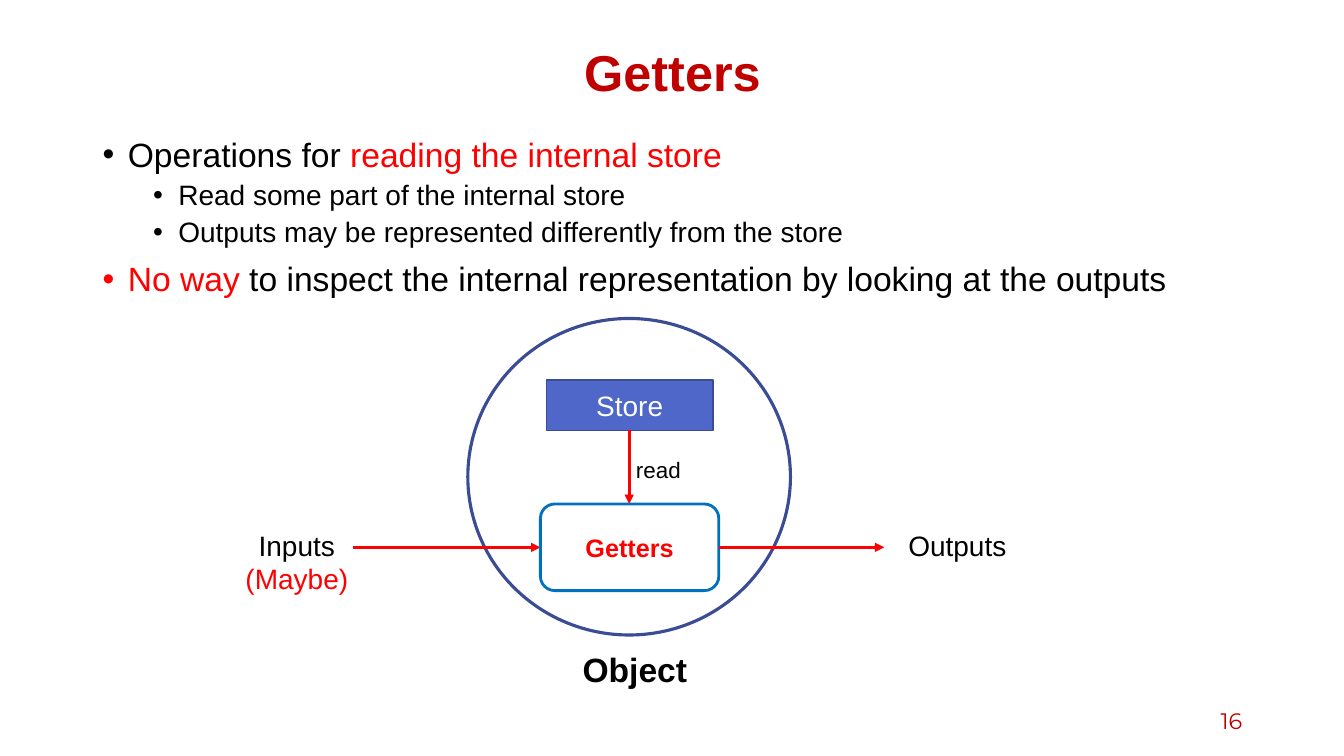
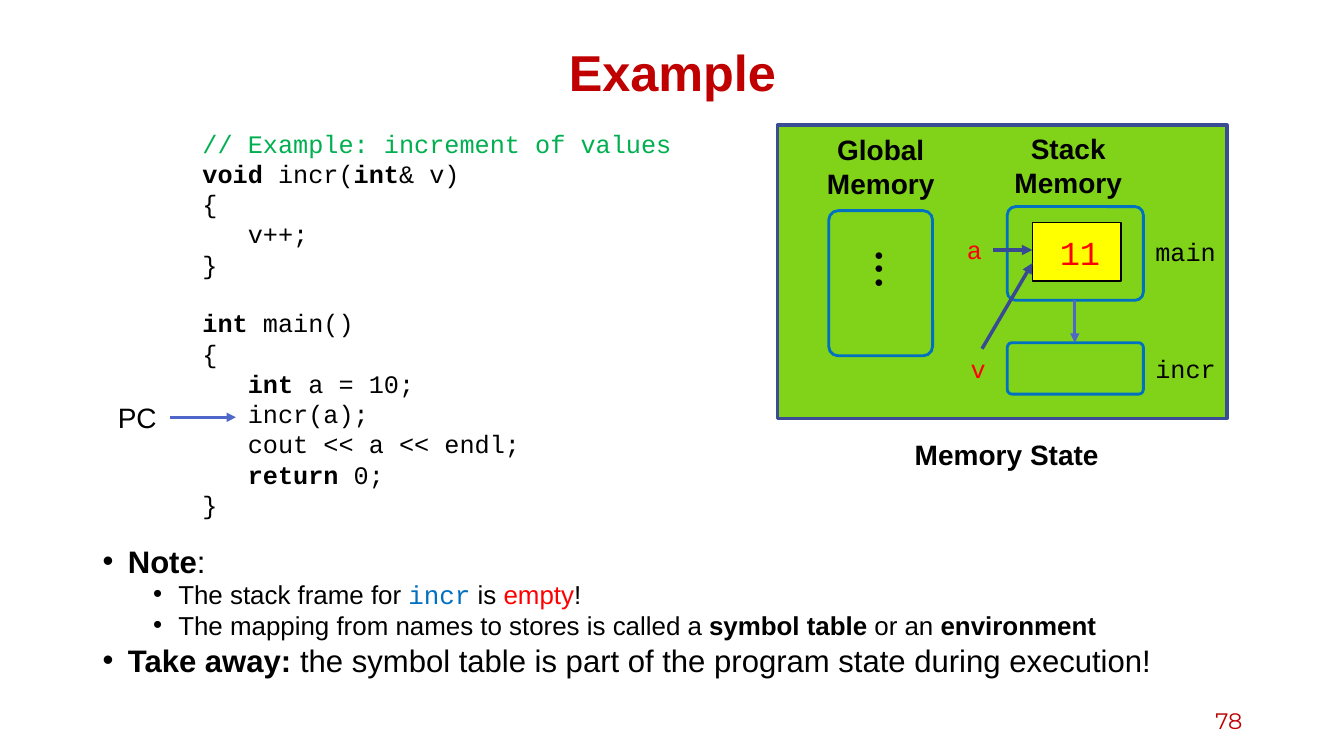
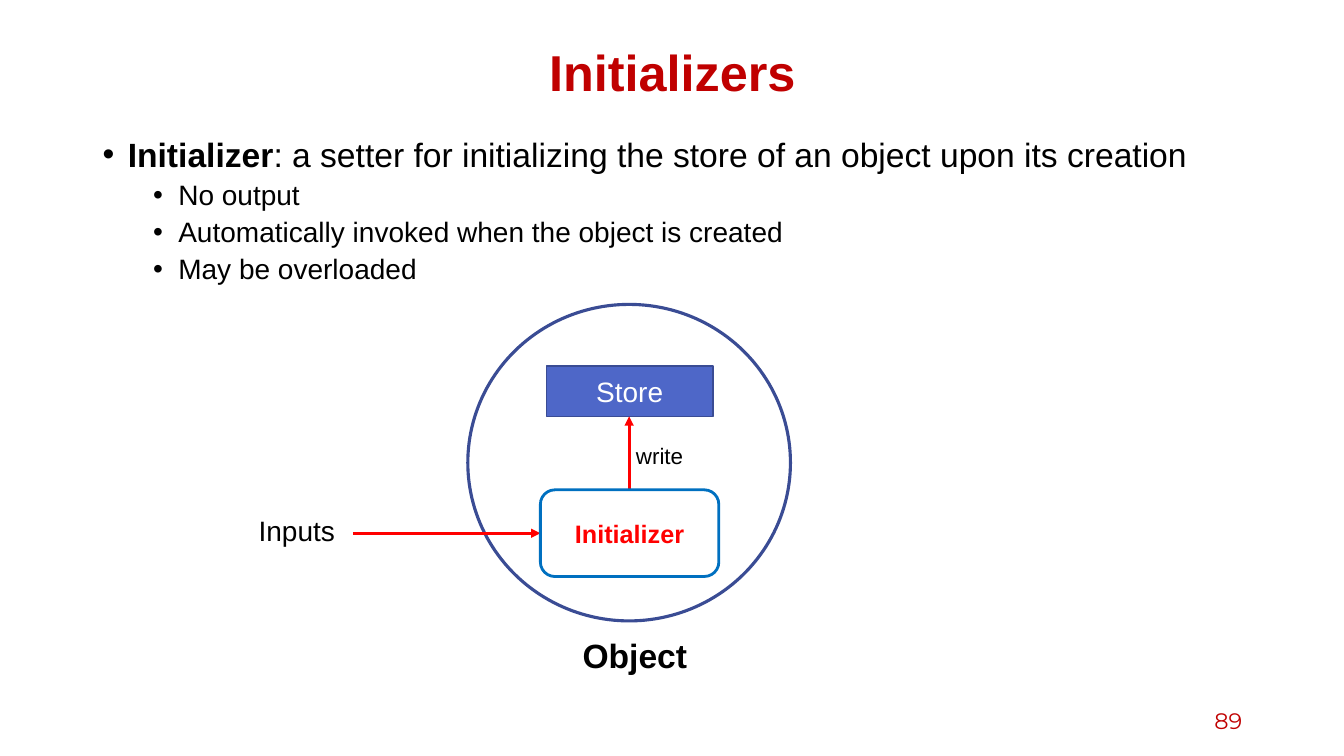
"""Builds three slides on getters, program state and initializers."""
from lxml import etree
from pptx import Presentation
from pptx.dml.color import RGBColor
from pptx.enum import shapes as sh, text as tx
from pptx.oxml.ns import qn
from pptx.util import Inches, Pt

BLACK = RGBColor(0, 0, 0)
WHITE = RGBColor(255, 255, 255)
RED = RGBColor(255, 0, 0)
CRIMSON = RGBColor(0xC0, 0, 0)
GREEN = RGBColor(0, 0xB0, 0x50)
LIME = RGBColor(0x81, 0xD3, 0x1A)
YELLOW = RGBColor(255, 255, 0)
BLUE = RGBColor(0, 0x70, 0xC0)
INDIGO = RGBColor(0x4E, 0x67, 0xC8)
NAVY = RGBColor(0x3A, 0x4C, 0x94)
INK = RGBColor(0x37, 0x4A, 0x92)

SANS, MONO, BRAND = "Arial", "Courier New", "Montserrat"
LEFT, MID, RIGHT = tx.PP_ALIGN.LEFT, tx.PP_ALIGN.CENTER, tx.PP_ALIGN.RIGHT
RECT, ROUND, OVAL = (sh.MSO_SHAPE.RECTANGLE, sh.MSO_SHAPE.ROUNDED_RECTANGLE,
                     sh.MSO_SHAPE.OVAL)
BOLD = {"bold": True}
HOT = {"color": RED}

GETTERS = [
    (0, ["Operations for ", ("reading the internal store", HOT)]),
    (1, ["Read some part of the internal store"]),
    (1, ["Outputs may be represented differently from the store"]),
    (0, [("No way ", HOT),
         "to inspect the internal representation by looking at the outputs"]),
]
NOTES = [
    (0, [("Note", BOLD), ":"]),
    (1, ["The stack frame for ", ("incr", {"font": MONO, "color": BLUE}),
         " is ", ("empty", HOT), "!"]),
    (1, ["The mapping from names to stores is called a ",
         ("symbol table ", BOLD), "or an ", ("environment", BOLD)]),
    (0, [("Take away: ", BOLD),
         "the symbol table is part of the program state during execution!"]),
]
SETUP = [
    (0, [("Initializer", BOLD),
         ": a setter for initializing the store of an object upon its creation"]),
    (1, ["No output"]),
    (1, ["Automatically invoked when the object is created"]),
    (1, ["May be overloaded"]),
]
CODE = [
    [
        (0, [("// Example: increment of values", {"color": GREEN})]),
        (0, [("void ", BOLD), "incr(", ("int", BOLD), "& v)"]),
        (0, ["{"]),
        (1, ["v++;"]),
        (0, ["}"]),
    ],
    [
        (0, [("int", BOLD), " main()"]),
        (0, ["{"]),
        (1, [("int", BOLD), " a = 10;"]),
        (1, ["incr(a);"]),
        (1, ["cout << a << endl;"]),
        (1, [("return", BOLD), " 0;"]),
        (0, ["}"]),
    ],
]
NAMES = [
    ("main", 11.36, 2.3, 0.82, BLACK),
    ("incr", 11.36, 3.46, 0.82, BLACK),
    ("a", 9.49, 2.28, 0.35, RED),
    ("v", 9.53, 3.46, 0.43, RED),
]


def place(*nums):
    return [Inches(n) for n in nums]


def write(para, runs, size, color=BLACK, bold=False, font=SANS):
    for item in runs:
        words, style = (item, {}) if isinstance(item, str) else item
        run = para.add_run()
        run.text = words
        run.font.size = Pt(size)
        run.font.name = style.get("font", font)
        run.font.bold = style.get("bold", bold)
        run.font.color.rgb = style.get("color", color)


def fill_text(shape, lines, size, align=LEFT, middle=False, **look):
    frame = shape.text_frame
    frame.word_wrap = True
    frame.vertical_anchor = (tx.MSO_ANCHOR.MIDDLE if middle
                             else tx.MSO_ANCHOR.TOP)
    for i, runs in enumerate(lines):
        para = frame.add_paragraph() if i else frame.paragraphs[0]
        para.alignment = align
        write(para, runs, size, **look)
    return frame.paragraphs


def label(slide, box, lines, size, align=LEFT, **look):
    area = slide.shapes.add_textbox(*place(*box))
    fill_text(area, lines, size, align, **look)
    return area


def block(slide, kind, box, line, width, fill=None, round=None):
    part = slide.shapes.add_shape(kind, *place(*box))
    part.shadow.inherit = False
    if fill is None:
        part.fill.background()
    else:
        part.fill.solid()
        part.fill.fore_color.rgb = fill
    part.line.color.rgb = line
    part.line.width = Pt(width)
    if round:
        part.adjustments[0] = round
    return part


def arrow(slide, start, end, color=RED, width=2.25):
    link = slide.shapes.add_connector(sh.MSO_CONNECTOR.STRAIGHT,
                                      *place(*start, *end))
    link.line.color.rgb = color
    link.line.width = Pt(width)
    etree.SubElement(link.line._get_or_add_ln(), qn("a:tailEnd"),
                     type="triangle")
    etree.SubElement(link._element.spPr, qn("a:effectLst"))


def bullets(slide, items, top=1.32, sizes=(24, 20), gaps=(10, 5), space=0.9):
    area = slide.shapes.add_textbox(*place(0.92, top, 11.5, 6.83 - top))
    paras = fill_text(area, [[] for _ in items], sizes[0])
    for para, (level, runs) in zip(paras, items):
        para.level = level
        para.line_spacing = space
        para.space_before = Pt(gaps[level])
        props = para._p.get_or_add_pPr()
        props.set("marL", str(Inches(0.25 + 0.5 * level)))
        props.set("indent", str(Inches(-0.25)))
        etree.SubElement(props, qn("a:buFont"), typeface=SANS)
        etree.SubElement(props, qn("a:buChar"), char="•")
        write(para, runs, sizes[level])


def start(deck, title, number):
    slide = deck.slides.add_slide(deck.slide_layouts[6])
    head = label(slide, (0.92, 0.4, 11.5, 0.7), [[title]], 36, MID,
                 middle=True, color=CRIMSON, bold=True)
    head.text_frame.paragraphs[0].line_spacing = 0.9
    label(slide, (9.42, 6.95, 3, 0.4), [[number]], 16, RIGHT,
          middle=True, color=CRIMSON, font=BRAND)
    return slide


def draw_object(slide, top, name, verb, inputs, reads):
    axis, row = 6.24, top + 2.27
    store, oper = top + 0.61, top + 1.84
    left, right = axis - 0.88, axis + 0.89
    box = block(slide, RECT, (axis - 0.82, store, 1.65, 0.5), NAVY, 1, INDIGO)
    fill_text(box, [["Store"]], 20, MID, True, color=WHITE)
    block(slide, OVAL, (axis - 1.6, top, 3.2, 3.14), NAVY, 2.25)
    arrow(slide, (3.5, row), (left, row))
    ends = [(axis, store + 0.5), (axis, oper)]
    arrow(slide, *(ends if reads else ends[::-1]))
    label(slide, (axis - 0.56, top + 3.23, 1.3, 0.5), [["Object"]], 24,
          bold=True)
    box = block(slide, ROUND, (left, oper, right - left, 0.86), BLUE, 2)
    fill_text(box, [[name]], 18, MID, True, color=RED, bold=True)
    label(slide, (2.31, row - 0.24, 1.27, 0.77), inputs, 20, MID)
    label(slide, (axis - 0.03, top + 1.32, 1.63, 0.37), [[verb]], 16)
    if reads:
        arrow(slide, (right, row), (8.77, row))
        label(slide, (8.91, row - 0.24, 1.32, 0.44), [["Outputs"]], 20)


def draw_code(slide):
    lines = [line for part in CODE for line in part]
    area = label(slide, (1.91, 1.22, 4.94, 4.04),
                 [runs for _, runs in lines], 18, font=MONO)
    paras = area.text_frame.paragraphs
    for para, (depth, _) in zip(paras, lines):
        para._p.get_or_add_pPr().set("marL", str(Inches(0.45 * depth)))
    paras[len(CODE[0])].space_before = Pt(20.4)
    label(slide, (1.07, 3.92, 0.66, 0.44), [["PC"]], 20)
    arrow(slide, (1.69, 4.14), (2.34, 4.14), INDIGO)


def draw_memory(slide):
    label(slide, (8.41, 4.29, 3.15, 0.44), [["Memory State"]], 20, MID,
          bold=True)
    block(slide, RECT, (7.71, 1.24, 4.46, 2.91), NAVY, 2.25, LIME)
    for name, left, top in [("Stack", 9.85, 1.26), ("Global", 7.99, 1.27)]:
        label(slide, (left, top, 1.49, 0.77), [[name], ["Memory"]], 20, MID,
              bold=True)
    dots = label(slide, (8.31, 2.67, 0.84, 0.29), [["● ● ●"]], 11)
    dots.rotation = 90
    for box in [(8.22, 2.09, 1.03, 1.44), (9.99, 2.05, 1.35, 0.93),
                (9.99, 3.4, 1.35, 0.51)]:
        block(slide, ROUND, box, BLUE, 2, round=0.09)
    cell = block(slide, RECT, (10.24, 2.21, 0.88, 0.58), BLACK, 1, YELLOW)
    fill_text(cell, [["11"]], 24, MID, True, color=RED, font=MONO)
    cell.text_frame.margin_left = Inches(0.16)
    arrow(slide, (10.66, 2.98), (10.66, 3.4), INDIGO)
    arrow(slide, (9.85, 2.48), (10.24, 2.48), INK, 2.5)
    arrow(slide, (9.74, 3.46), (10.24, 2.61), INK, 2.5)
    for name, left, top, width, color in NAMES:
        label(slide, (left, top, width, 0.4), [[name]], 18, color=color,
              font=MONO)


def main():
    deck = Presentation()
    deck.slide_width, deck.slide_height = place(13.33, 7.5)

    slide = start(deck, "Getters", "16")
    bullets(slide, GETTERS)
    draw_object(slide, 3.16, "Getters", "read",
                [["Inputs"], [("(Maybe)", HOT)]], True)

    slide = start(deck, "Example", "78")
    bullets(slide, NOTES, 5.4, (22.2, 18.5), (6, 4), 0.8)
    draw_memory(slide)
    draw_code(slide)

    slide = start(deck, "Initializers", "89")
    bullets(slide, SETUP)
    draw_object(slide, 3.02, "Initializer", "write", [["Inputs"]], False)

    deck.save("out.pptx")


if __name__ == "__main__":
    main()
